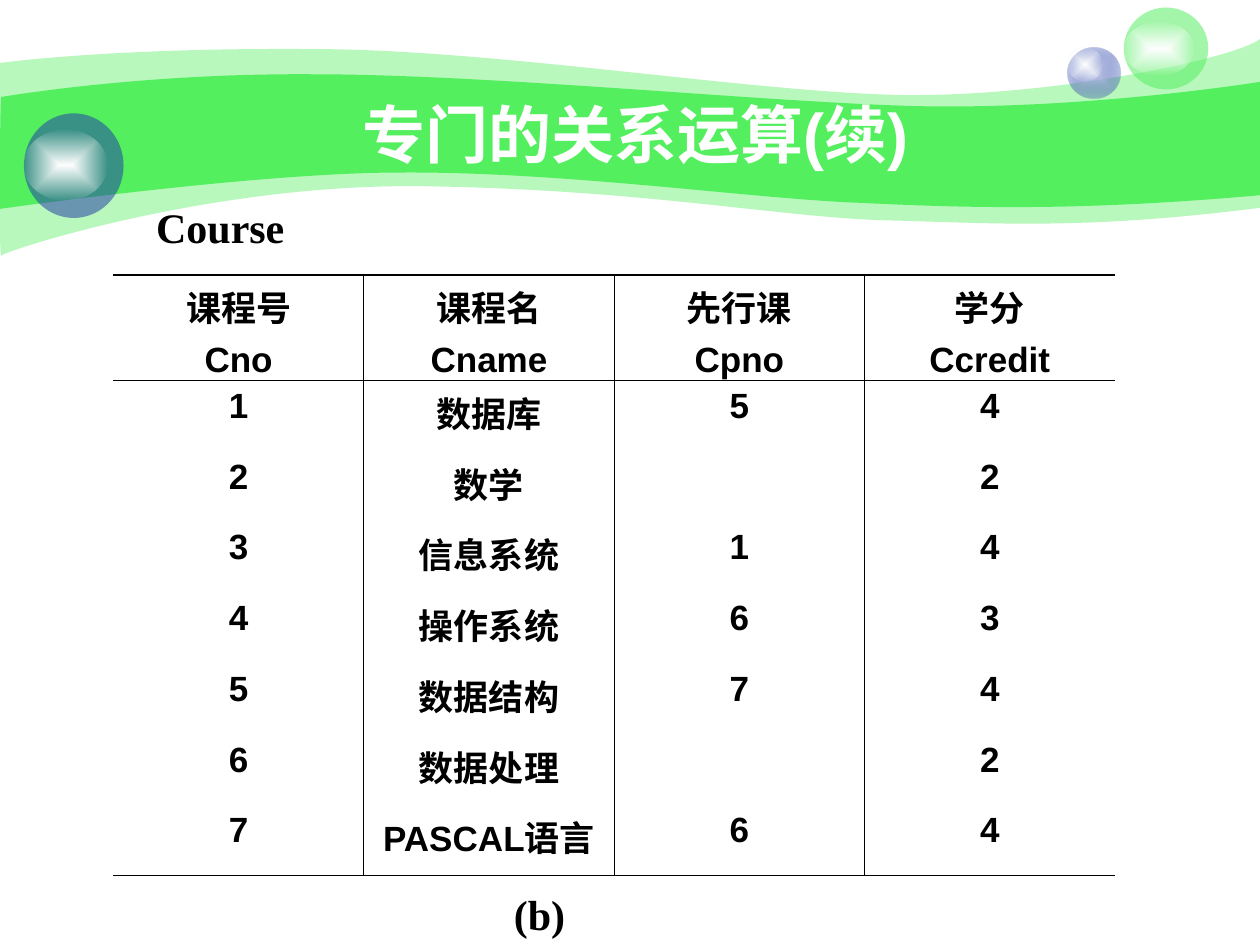
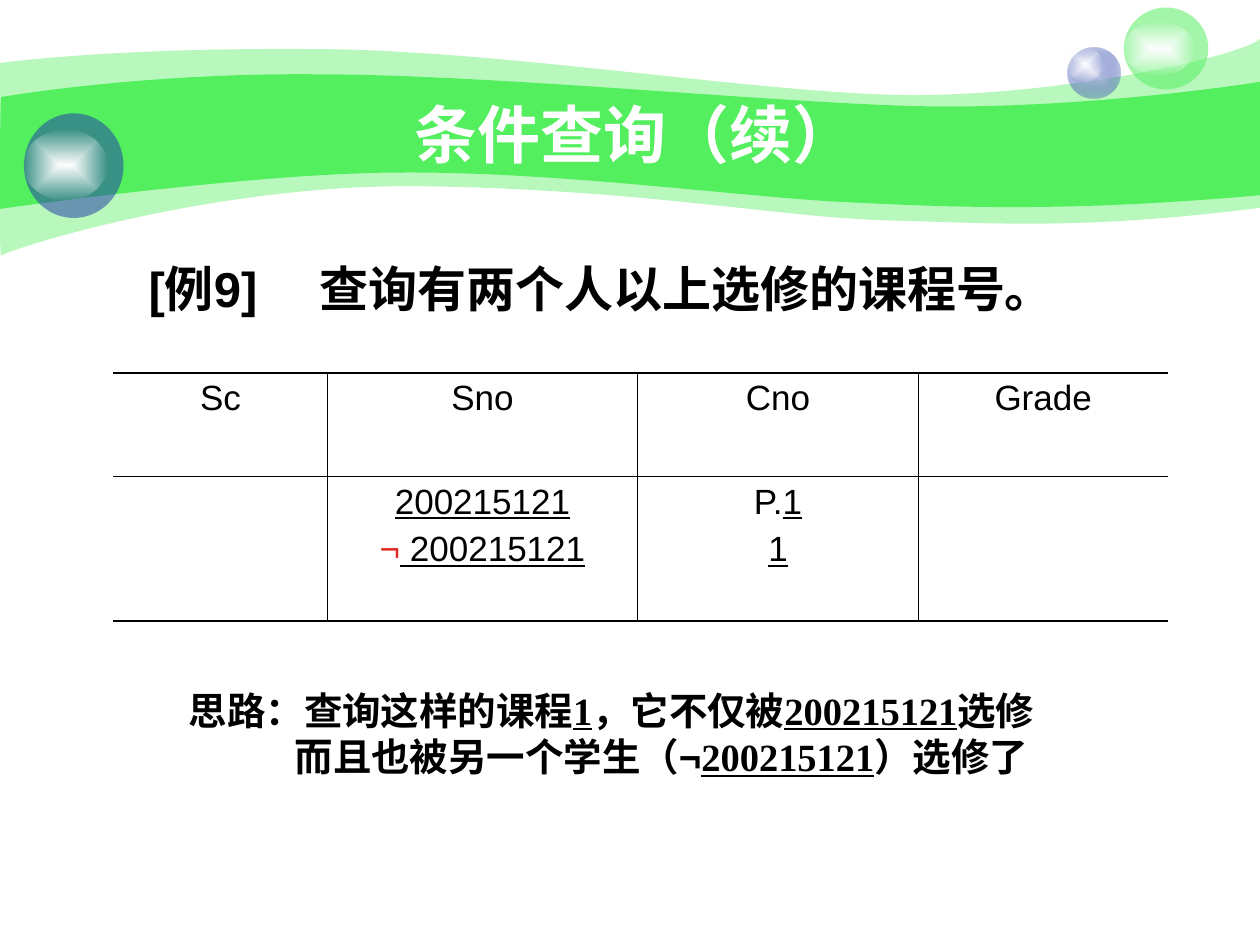
from lxml.etree import SubElement
from pptx import Presentation
from pptx.dml.color import RGBColor
from pptx.enum.shapes import MSO_SHAPE
from pptx.enum.text import MSO_ANCHOR, PP_ALIGN
from pptx.oxml.ns import qn
from pptx.util import Emu, Inches, Pt

# Palette and fonts
GREEN = RGBColor(0x53, 0xEF, 0x5E)
BLUE = RGBColor(0x23, 0x3D, 0xA9)
PALE_BLUE = RGBColor(0xC7, 0xCE, 0xE9)
WHITE = RGBColor(0xFF, 0xFF, 0xFF)
BLACK = RGBColor(0, 0, 0)
RED = RGBColor(0xE0, 0x29, 0x20)
SANS, SERIF = "Arial", "Times New Roman"
THICK, THIN = 1.08, 0.45

# Content: a paragraph is a string or a list of runs; a run is text or (text, format)
UNDER = {"underline": True}
STUDENT = "200215121"

COURSE_TITLE = "专门的关系运算(续)"
COURSE_NAME, COURSE_CAPTION = "Course", "(b)"
COURSES = [
    [["课程号", "Cno"], ["课程名", "Cname"], ["先行课", "Cpno"], ["学分", "Ccredit"]],
    [["1"], ["数据库"], ["5"], ["4"]],
    [["2"], ["数学"], [], ["2"]],
    [["3"], ["信息系统"], ["1"], ["4"]],
    [["4"], ["操作系统"], ["6"], ["3"]],
    [["5"], ["数据结构"], ["7"], ["4"]],
    [["6"], ["数据处理"], [], ["2"]],
    [["7"], ["PASCAL语言"], ["6"], ["4"]],
]

QUERY_TITLE = "条件查询（续）"
QUERY_EXAMPLE = "[例9]\t查询有两个人以上选修的课程号。"
QUERY_FORM = [
    [["Sc"], ["Sno"], ["Cno"], ["Grade"]],
    [
        [],
        [[(STUDENT, UNDER)], [("¬", {"color": RED}), (" " + STUDENT, UNDER)]],
        [["P.", ("1", UNDER)], [("1", UNDER)]],
        [],
    ],
]
QUERY_IDEA = [
    ["思路：查询这样的课程", ("1", UNDER), "，它不仅被", (STUDENT, UNDER), "选修"],
    ["而且也被另一个学生（", ("¬", {"font": SANS}), (STUDENT, UNDER), "）选修了"],
]

# Waves: start point, upper curves, right edge, lower curves (inches)
PALE_WAVE = (
    (0, 0.5),
    [(0.24, 0.47), (1.07, 0.38), (2.47, 0.39),
     (3.86, 0.39), (5.75, 0.7), (6.99, 0.75),
     (8.22, 0.8), (9.8, 0.47), (10, 0.31)],
    (10, 1.65),
    [(8.58, 1.83), (7.87, 1.77), (7.05, 1.75),
     (6.22, 1.73), (5.15, 1.51), (3.43, 1.48),
     (1.72, 1.44), (0.04, 1.99), (0.01, 2.03),
     (-0.01, 2.08), (0, 0.75), (0, 0.5)],
)
BRIGHT_WAVE = (
    (0.01, 0.77),
    [(0.02, 0.77), (1.1, 0.58), (2.48, 0.59),
     (3.86, 0.59), (5.95, 0.8), (7.18, 0.84),
     (8.41, 0.88), (9.76, 0.69), (10, 0.65)],
    (10, 1.55),
    [(8.53, 1.68), (7.65, 1.65), (6.82, 1.61),
     (5.99, 1.58), (4.47, 1.36), (3.17, 1.37),
     (2.03, 1.37), (-0.02, 1.66), (-0.01, 1.66),
     (0, 1.66), (0, 0.77), (0.01, 0.77)],
)

# Bubbles: box, then colour stops as (colour, opacity in percent)
SHINE = [(WHITE, 100), (WHITE, 0)]
BUBBLES = [
    ((8.47, 0.38, 0.42, 0.4), [(PALE_BLUE, 100), (BLUE, 31)]),
    ((8.47, 0.38, 0.28, 0.27), SHINE),
    ((8.92, 0.06, 0.67, 0.65), [(GREEN, 53)]),
    ((8.92, 0.17, 0.56, 0.43), SHINE),
    ((0.19, 0.9, 0.79, 0.83), [(BLUE, 53)]),
    ((0.19, 1.03, 0.66, 0.56), SHINE),
]


def add_color(parent, color, opacity=100):
    clr = SubElement(parent, qn("a:srgbClr"), val=str(color))
    if opacity < 100:
        SubElement(clr, qn("a:alpha"), val=str(opacity * 1000))


def paint(shape, stops):
    """Fill without outline: one stop is a flat colour, two run from the centre out."""
    shape.shadow.inherit = False
    shape.line.fill.background()
    shape.fill.solid()
    shape.fill.fore_color.rgb = stops[0][0]
    solid = shape.element.spPr.find(qn("a:solidFill"))
    if len(stops) == 1:
        solid.clear()
        add_color(solid, *stops[0])
        return
    gradient = SubElement(shape.element.spPr, qn("a:gradFill"), rotWithShape="1")
    stop_list = SubElement(gradient, qn("a:gsLst"))
    for i, stop in enumerate(stops):
        add_color(SubElement(stop_list, qn("a:gs"), pos=str(i * 100000)), *stop)
    center = SubElement(gradient, qn("a:path"), path="rect")
    SubElement(center, qn("a:fillToRect"), l="50000", t="50000", r="50000", b="50000")
    solid.getparent().replace(solid, gradient)


def add_wave(slide, wave, opacity=100):
    """Lay the points out in hundredths of an inch, then join each three into a curve."""
    start, upper, corner, lower = wave
    first, *others = [(round(x * 100), round(y * 100))
                      for x, y in (start, *upper, corner, *lower)]
    outline = slide.shapes.build_freeform(*first, scale=Inches(0.01))
    outline.add_line_segments(others)
    shape = outline.convert_to_shape()
    segments = list(shape.element.iter(qn("a:lnTo")))
    edge = len(upper)
    curved = segments[:edge] + segments[edge + 1:]
    for i in range(0, len(curved), 3):
        curve = SubElement(curved[i].getparent(), qn("a:cubicBezTo"))
        curved[i].addprevious(curve)
        for segment in curved[i:i + 3]:
            curve.append(segment[0])
            segment.getparent().remove(segment)
    paint(shape, [(GREEN, opacity)])


def write(frame, paragraphs, *, size, font=SANS, color=BLACK, bold=True,
          align=PP_ALIGN.LEFT, gap=0, indents=(), tab=None):
    for i, runs in enumerate(paragraphs):
        p = frame.paragraphs[0] if i == 0 else frame.add_paragraph()
        p.alignment = align
        p.space_before = Pt(gap if i else 0)
        props = p._p.get_or_add_pPr()
        if indents:
            props.set("marL", str(Inches(indents[i])))
        if tab:
            tabs = SubElement(props, qn("a:tabLst"))
            SubElement(tabs, qn("a:tab"), pos=str(Inches(tab)), algn="l")
        for run in [runs] if isinstance(runs, str) else runs:
            text, extra = (run, {}) if isinstance(run, str) else run
            r = p.add_run()
            r.text = text
            r.font.size, r.font.bold = Pt(size), bold
            r.font.name = extra.get("font", font)
            r.font.color.rgb = extra.get("color", color)
            r.font.underline = extra.get("underline", False)


def add_text(slide, box, paragraphs, *, wrap=True, anchor=MSO_ANCHOR.TOP,
             left_inset=0.1, **style):
    frame = slide.shapes.add_textbox(*map(Inches, box)).text_frame
    frame.word_wrap, frame.vertical_anchor = wrap, anchor
    frame.margin_left = Inches(left_inset)
    write(frame, paragraphs, **style)


def set_borders(cell, **widths):
    """Sides in the order L, R, T, B; a width of 0 hides the side."""
    props = cell._tc.get_or_add_tcPr()
    for side in "LRTB":
        width = widths[side]
        line = SubElement(props, qn("a:ln" + side), w=str(Pt(width)))
        if width:
            add_color(SubElement(line, qn("a:solidFill")), BLACK)
        else:
            SubElement(line, qn("a:noFill"))


def add_grid(slide, left, top, col_widths, row_heights, rows, bold):
    """Heavy rules above and below, a thin one under the header, thin between columns."""
    n_rows, n_cols = len(rows), len(rows[0])
    table = slide.shapes.add_table(
        n_rows, n_cols, Inches(left), Inches(top),
        Inches(sum(col_widths)), Inches(sum(row_heights))).table
    table.first_row = table.horz_banding = False
    for column, width in zip(table.columns, col_widths):
        column.width = Emu(Inches(width))
    for row, height in zip(table.rows, row_heights):
        row.height = Emu(Inches(height))
    rules = [THICK, THIN] + [0] * (n_rows - 2) + [THICK]
    for r, row in enumerate(rows):
        for c, paragraphs in enumerate(row):
            cell = table.cell(r, c)
            set_borders(cell, L=THIN if c else 0, R=THIN if c < n_cols - 1 else 0,
                        T=rules[r], B=rules[r + 1])
            cell.fill.background()
            write(cell.text_frame, paragraphs, size=20, bold=bold,
                  align=PP_ALIGN.CENTER, gap=5)


def add_slide(deck, title):
    """Blank slide with the waves, bubbles and title that all slides share."""
    slide = deck.slides.add_slide(deck.slide_layouts[6])
    add_wave(slide, PALE_WAVE, opacity=41)
    add_wave(slide, BRIGHT_WAVE)
    for box, stops in BUBBLES:
        paint(slide.shapes.add_shape(MSO_SHAPE.OVAL, *map(Inches, box)), stops)
    add_text(slide, (1, 0.75, 8.08, 0.62), [title], size=36, color=WHITE,
             align=PP_ALIGN.CENTER, anchor=MSO_ANCHOR.MIDDLE)
    return slide


def main():
    deck = Presentation()
    deck.slide_width, deck.slide_height = Inches(10), Inches(7.5)
    margin = 0.9

    # Course relation
    course = add_slide(deck, COURSE_TITLE)
    header, height, records = 0.84, 4.77, len(COURSES) - 1
    add_grid(course, margin, 2.18, [7.95 / 4] * 4,
             [header] + [(height - header) / records] * records, COURSES, bold=True)
    for box, label in (((1.14, 1.55, 1.22, 0.5), COURSE_NAME),
                       ((3.98, 7, 0.61, 0.5), COURSE_CAPTION)):
        add_text(course, box, [label], size=24, font=SERIF, wrap=False)

    # Query by example
    query = add_slide(deck, QUERY_TITLE)
    add_text(query, (0.5, 2, 9.07, 1.67), [QUERY_EXAMPLE], size=28,
             left_inset=0.68, tab=1.36)
    add_text(query, (margin, 5.4, 8.82, 0.84), QUERY_IDEA, size=22, font=SERIF,
             indents=(0.5, 1.34))
    add_grid(query, margin, 2.96, [1.7, 2.46, 2.23, 1.98], [0.82, 1.15],
             QUERY_FORM, bold=False)

    deck.save("out.pptx")


if __name__ == "__main__":
    main()
